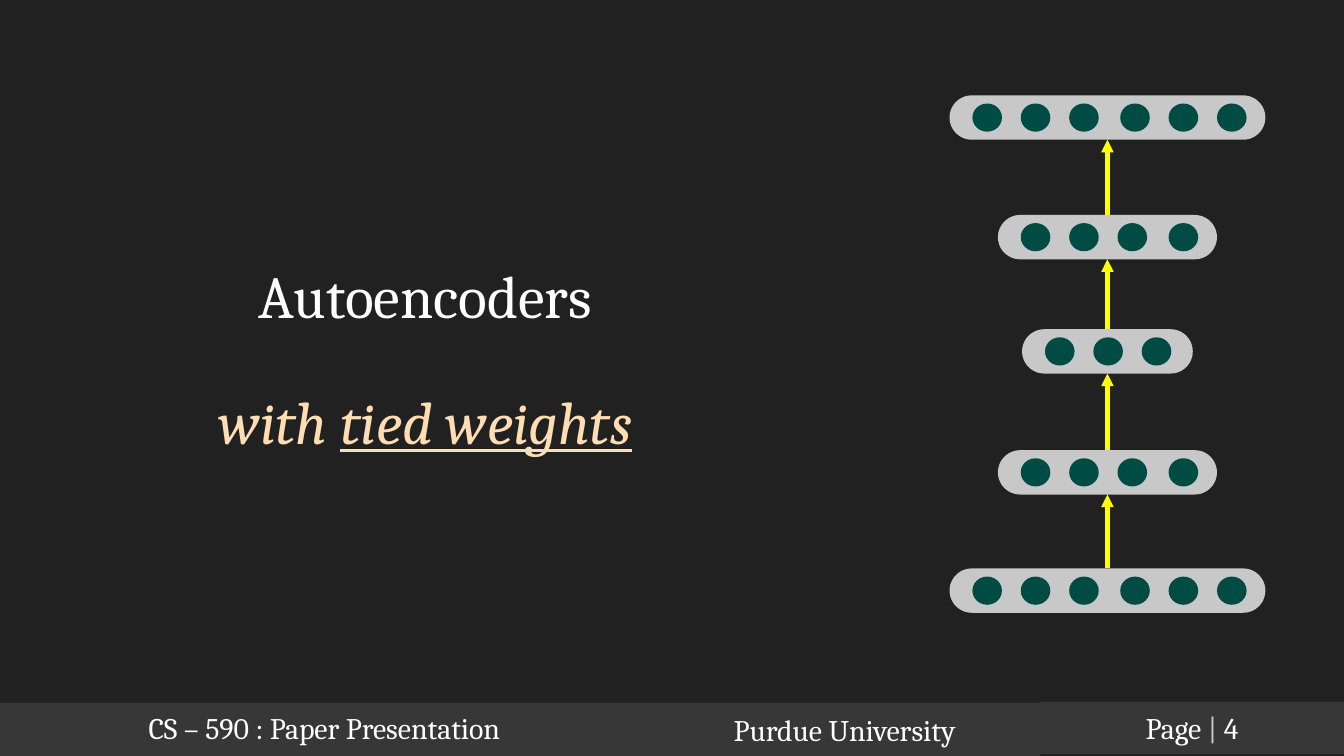
from itertools import pairwise

from lxml import etree
from pptx import Presentation
from pptx.dml.color import RGBColor
from pptx.enum import shapes, text
from pptx.oxml.ns import qn
from pptx.util import Inches, Pt

# Content
COLORS = {"bg": "212121", "bar": "373737", "white": "FFFFFF", "gray": "C8C8C8",
          "peach": "FFDDB3", "unit": "004B44", "arrow": "FFFF00"}
FONT = "Cambria"
TOP, MIDDLE = text.MSO_ANCHOR.TOP, text.MSO_ANCHOR.MIDDLE

# Footer cells: left, top, width, height, anchor, vertical inset, runs
FOOTER = [
    (0, 5.23, 4.83, 0.4, TOP, 0.05, [("CS – 590 : Paper Presentation", "white", {})]),
    (4.83, 5.23, 2.91, 0.4, MIDDLE, 0.05, [("Purdue University", "white", {})]),
    (7.74, 5.22, 2.26, 0.39, MIDDLE, 0.1,
     [("Page ", "white", {}), ("| ", "gray", {}), ("4", "white", {})]),
]
TITLE = [
    [("Autoencoders", "white", {})],
    [("with ", "peach", {"italic": True}),
     ("tied weights", "peach", {"italic": True, "underline": True})],
]
# Layers from input to output: top, width, number of units
LAYERS = [(4.23, 2.35, 6), (3.35, 1.63, 4), (2.45, 1.27, 3),
          (1.6, 1.63, 4), (0.71, 2.35, 6)]
CENTER_X, LAYER_H = 8.24, 0.33
UNIT_W, UNIT_H, UNIT_PITCH = 0.22, 0.21, 0.36
UNIT_INSET, MID_GAP = 0.17, 0.02  # slightly wider gap after the third unit


def rgb(name):
    return RGBColor.from_string(COLORS[name])


def add_shape(kind, x, y, w, h, color):
    sp = slide.shapes.add_shape(kind, Inches(x), Inches(y), Inches(w), Inches(h))
    sp.shadow.inherit = False
    sp.fill.solid()
    sp.fill.fore_color.rgb = rgb(color)
    sp.line.fill.background()
    return sp


def add_runs(p, runs, size):
    p.alignment = text.PP_ALIGN.CENTER
    for words, color, style in runs:
        r = p.add_run()
        r.text = words
        for name, value in {"name": FONT, "size": Pt(size), **style}.items():
            setattr(r.font, name, value)
        r.font.color.rgb = rgb(color)


# Widescreen 16:9 slide
prs = Presentation()
prs.slide_width, prs.slide_height = Inches(10), Inches(10 * 9 / 16)
slide = prs.slides.add_slide(prs.slide_layouts[6])
slide.background.fill.solid()
slide.background.fill.fore_color.rgb = rgb("bg")

# Footer
for x, y, w, h, anchor, inset, runs in FOOTER:
    tf = add_shape(shapes.MSO_SHAPE.RECTANGLE, x, y, w, h, "bar").text_frame
    tf.vertical_anchor = anchor
    tf.margin_top = tf.margin_bottom = Inches(inset)
    add_runs(tf.paragraphs[0], runs, 16)

# Title
tf = slide.shapes.add_textbox(Inches(0.21), Inches(1.61), Inches(5.91), Inches(0.77)).text_frame
tf.word_wrap = True
for i, runs in enumerate(TITLE):
    p = tf.add_paragraph() if i else tf.paragraphs[0]
    p.line_spacing = 1.5
    if i:
        p.space_before = Pt(10)
    add_runs(p, runs, 32)

# Network layers with their units
for top, width, count in LAYERS:
    left = CENTER_X - width / 2
    sp = add_shape(shapes.MSO_SHAPE.ROUNDED_RECTANGLE, left, top, width, LAYER_H, "gray")
    sp.adjustments[0] = 0.5
    for i in range(count):
        x = left + UNIT_INSET + i * UNIT_PITCH + (MID_GAP if i > 2 else 0)
        y = top + (LAYER_H - UNIT_H) / 2
        add_shape(shapes.MSO_SHAPE.OVAL, x, y, UNIT_W, UNIT_H, "unit")

# Arrows from each layer up to the next
for (start, *_), (end, *_) in pairwise(LAYERS):
    arrow = slide.shapes.add_connector(
        shapes.MSO_CONNECTOR.STRAIGHT, Inches(CENTER_X), Inches(start),
        Inches(CENTER_X), Inches(end + LAYER_H))
    arrow.line.color.rgb = rgb("arrow")
    arrow.line.width = Pt(2.25)
    etree.SubElement(arrow.line._get_or_add_ln(), qn("a:tailEnd"), type="triangle")
    etree.SubElement(arrow._element.spPr, qn("a:effectLst"))

prs.save("out.pptx")
